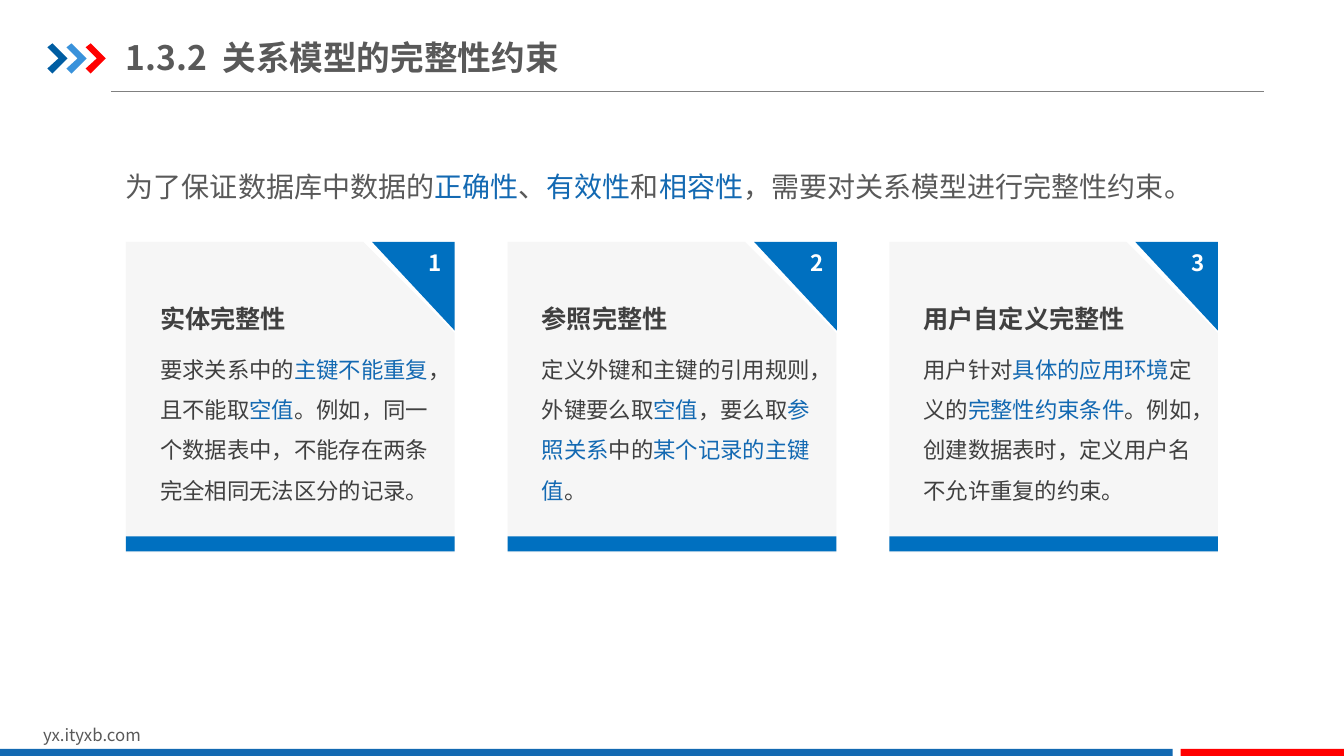
import pptx
import pptx.util
import pptx.dml.color
import pptx.enum.shapes
import pptx.enum.text
import pptx.oxml
import pptx.oxml.ns
import lxml.etree

RGB = pptx.dml.color.RGBColor
SHAPE = pptx.enum.shapes.MSO_SHAPE
ANCHOR = pptx.enum.text.MSO_ANCHOR
ALIGN = pptx.enum.text.PP_ALIGN

SCALE = 9144
FACE = "Noto Sans CJK SC"
GRAY = RGB(0x59, 0x59, 0x59)
DARK = RGB(0x40, 0x40, 0x40)
RULE = RGB(0x80, 0x80, 0x80)
PALE = RGB(0xF6, 0xF6, 0xF6)
WHITE = RGB(0xFF, 0xFF, 0xFF)
RED = RGB(0xFF, 0x00, 0x00)
NAVY = RGB(0x00, 0x5D, 0xA2)
SKY = RGB(0x39, 0x92, 0xDB)
BLUE = RGB(0x00, 0x70, 0xC0)
KEY = RGB(0x13, 0x69, 0xB2)

CARDS = [
    ("实体完整性",
     "要求关系中的|主键不能重复|，且不能取|空值|。例如，同一个数据表中，不能存在两条完全相同无法区分的记录。"),
    ("参照完整性",
     "定义外键和主键的引用规则，外键要么取|空值|，要么取|参照关系|中的|某个记录的主键值|。"),
    ("用户自定义完整性",
     "用户针对|具体的应用环境|定义的|完整性约束条件|。例如，创建数据表时，定义用户名不允许重复的约束。"),
]


def px(num):
    return pptx.util.Emu(round(num * SCALE))


def paint(shape, color):
    shape.shadow.inherit = False
    shape.fill.solid()
    shape.fill.fore_color.rgb = color
    shape.line.fill.background()
    return shape


def block(slide, box, color, kind=SHAPE.RECTANGLE):
    return paint(slide.shapes.add_shape(kind, *map(px, box)), color)


def outline(slide, points, color):
    path = slide.shapes.build_freeform(*points[0], scale=SCALE)
    path.add_line_segments(points[1:], close=True)
    return paint(path.convert_to_shape(), color)


def write(frame, text, size, color, bold=False, lines=None):
    para = frame.paragraphs[0]
    for index, part in enumerate(text.split("|")):
        run = para.add_run()
        run.text = part
        if index % 2:
            run.font.color.rgb = KEY
    if lines:
        para.line_spacing = lines
    font = para.font
    font.size = pptx.util.Pt(size)
    font.bold = bold
    font.color.rgb = color
    font.name = FACE
    props = para._p.pPr.find(pptx.oxml.ns.qn("a:defRPr"))
    lxml.etree.SubElement(props, pptx.oxml.ns.qn("a:ea"), typeface=FACE)
    return para


def label(slide, box, text, size, color, bold=False, lines=None):
    frame = slide.shapes.add_textbox(*map(px, box)).text_frame
    frame.word_wrap = True
    write(frame, text, size, color, bold, lines)
    return frame


def header(slide, left, top, width):
    line = slide.shapes.add_connector(
        pptx.enum.shapes.MSO_CONNECTOR.STRAIGHT,
        px(left + 63), px(top + 62), px(left + width), px(top + 62))
    line.line.color.rgb = RULE
    line.line.width = pptx.util.Pt(0.75)
    lxml.etree.SubElement(line._element.spPr, pptx.oxml.ns.qn("a:effectLst"))
    arrow = [(0, 18), (5, 14), (20, 29), (5, 44), (0, 39), (11, 29)]
    for index, color in enumerate((NAVY, SKY, RED)):
        start = left + 19 * index
        outline(slide, [(start + x, top + y) for x, y in arrow], color)
    frame = label(slide, (left + 78, top, 573, 55),
                  "1.3.2  关系模型的完整性约束", 24, GRAY, True)
    frame.margin_left = frame.margin_right = 0
    frame.margin_top = frame.margin_bottom = px(7)
    frame.vertical_anchor = ANCHOR.MIDDLE


def card(slide, left, top, width, height, number, title, body):
    right = left + width
    panel = block(slide, (left, top, width, height), PALE, SHAPE.SNIP_1_RECTANGLE)
    panel.adjustments[0] = 0.294
    block(slide, (left, top + height - 16, width, 15), BLUE)
    corner = outline(slide, [(right, top), (right - 82, top), (right, top + 88)], BLUE)
    frame = corner.text_frame
    frame.margin_left = frame.margin_right = px(13)
    frame.margin_top = frame.margin_bottom = px(7)
    frame.vertical_anchor = ANCHOR.TOP
    write(frame, str(number), 16, WHITE, True).alignment = ALIGN.RIGHT
    label(slide, (left + 24, top + 41, 240, 50), title, 18, DARK, True, 1.5)
    label(slide, (left + 24, top + 95, 289, 172), body, 16, DARK, False, 1.5)


def footer(slide, left, top, width):
    label(slide, (left + 33, top, 318, 30), "yx.ityxb.com", 12, GRAY)
    block(slide, (left, top + 29, 1163, 9), KEY)
    block(slide, (left + 1171, top + 29, width - 1171, 9), RED)


def main():
    deck = pptx.Presentation()
    deck.slide_width, deck.slide_height = px(1333), px(750)
    slide = deck.slides.add_slide(deck.slide_layouts[6])
    header(slide, 47, 29, 1207)
    label(slide, (115, 147, 1126, 55),
          "为了保证数据库中数据的|正确性|、|有效性|和|相容性|，需要对关系模型进行完整性约束。",
          20, GRAY, False, 1.5)
    left, width, span = 125, 326, 1083
    step = (span - width) / (len(CARDS) - 1)
    for index, (title, body) in enumerate(CARDS):
        card(slide, left + step * index, 240, width, 308, index + 1, title, body)
    footer(slide, 0, 714, 1333)
    deck.save("out.pptx")


if __name__ == "__main__":
    main()
